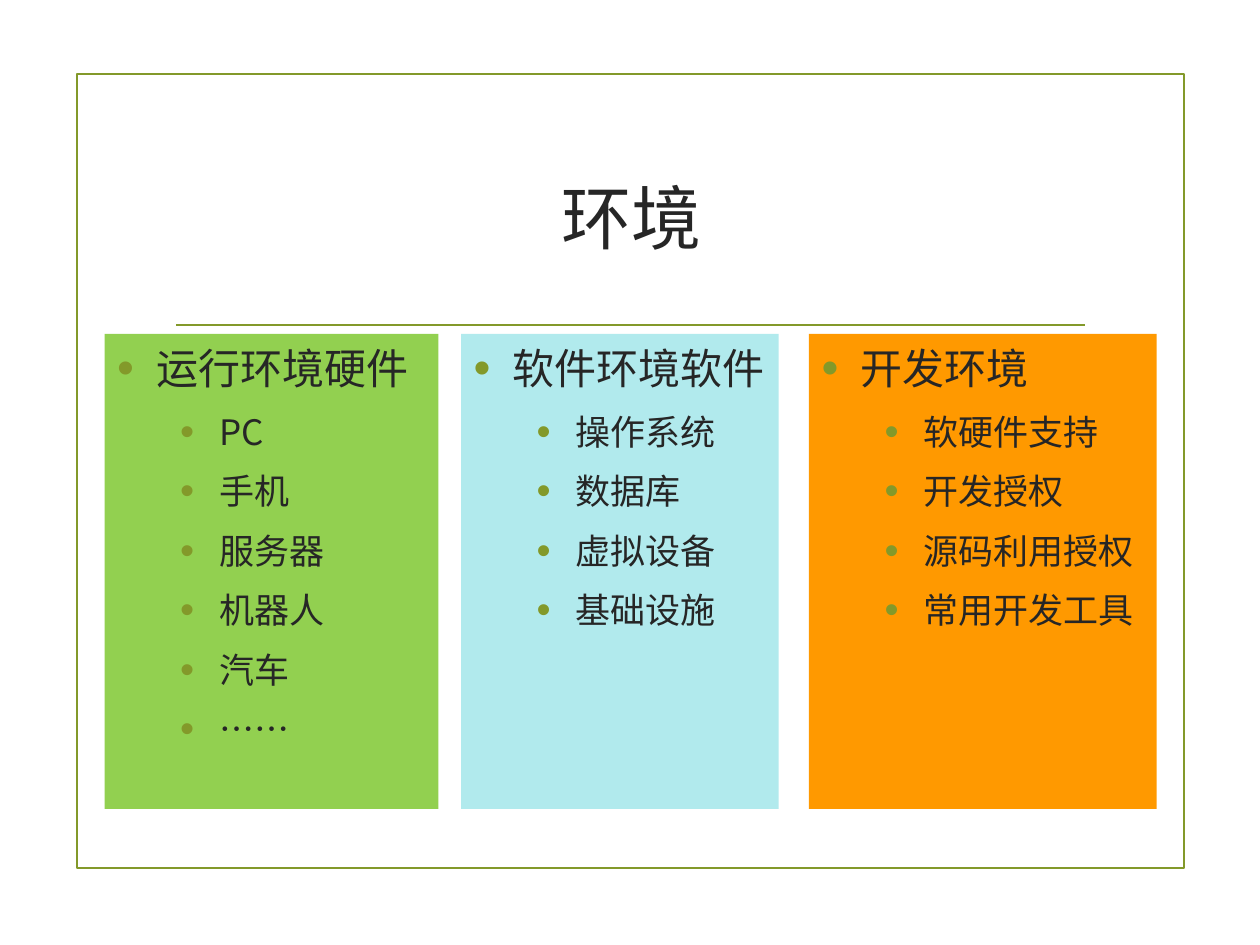
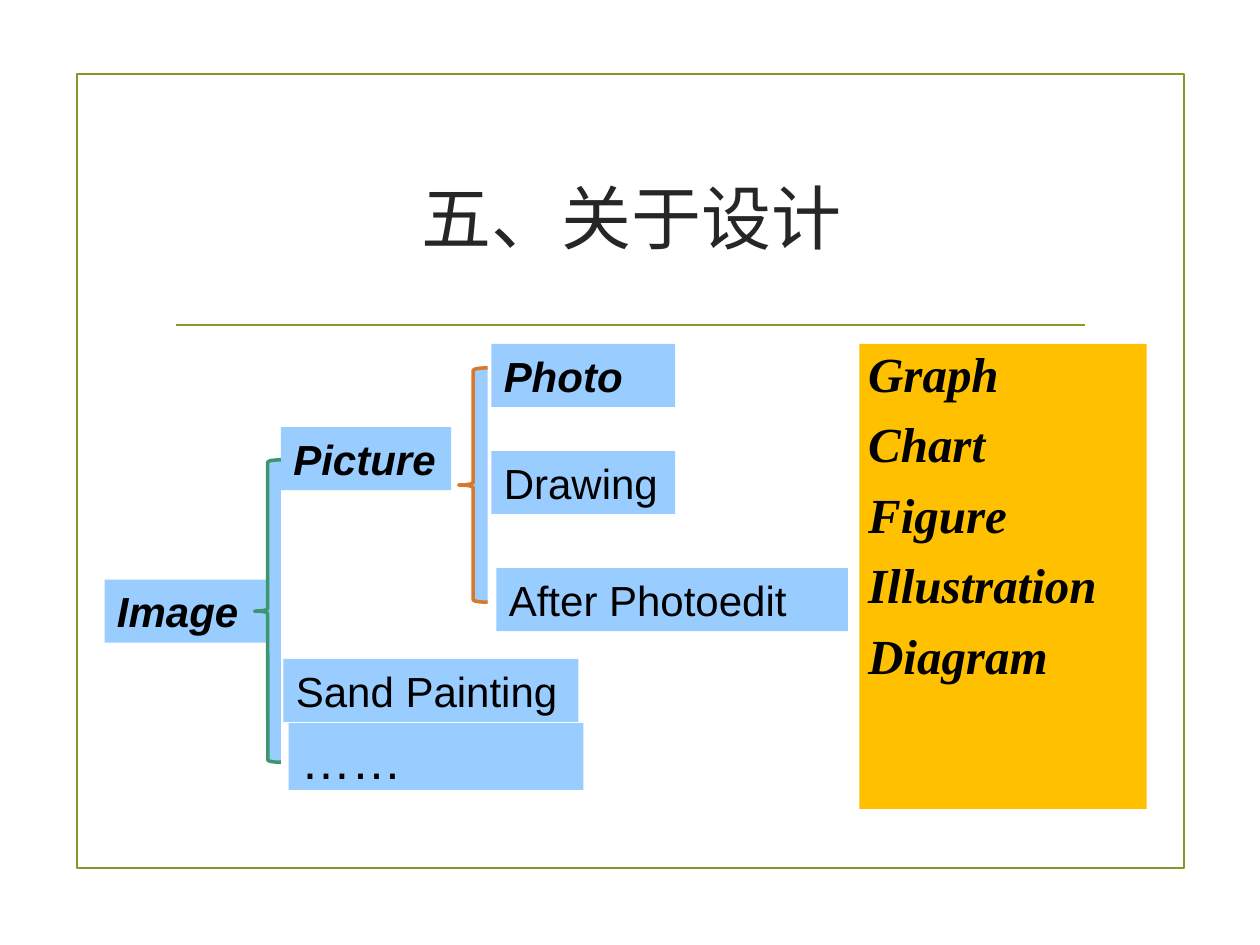
"""Build two slides: the environment lists and the map of image terms."""
from dataclasses import dataclass

from lxml.etree import SubElement
from pptx import Presentation
from pptx.dml.color import RGBColor
from pptx.enum.shapes import MSO_CONNECTOR, MSO_SHAPE
from pptx.enum.text import MSO_ANCHOR, MSO_AUTO_SIZE, PP_ALIGN
from pptx.oxml.ns import qn
from pptx.util import Pt

PX = 9144
OLIVE = RGBColor(0x83, 0x99, 0x2A)
INK = RGBColor(0x26, 0x26, 0x26)
BLACK = RGBColor(0, 0, 0)
LIME = RGBColor(0x92, 0xD0, 0x50)
AQUA = RGBColor(0xB1, 0xEA, 0xED)
ORANGE = RGBColor(0xFF, 0x99, 0x00)
GOLD = RGBColor(0xFF, 0xC0, 0x00)
SKY = RGBColor(0x99, 0xCC, 0xFF)
GREEN = RGBColor(0x3C, 0x97, 0x70)
RUST = RGBColor(0xD9, 0x78, 0x28)
HAN = "Noto Sans CJK SC"
SANS = "Arial"
SERIF = "Times New Roman"


@dataclass(frozen=True)
class Box:
    left: int
    top: int
    width: int
    height: int

    def emu(self) -> tuple:
        return tuple(n * PX for n in (self.left, self.top, self.width, self.height))


@dataclass(frozen=True)
class Face:
    name: str
    size: float
    color: RGBColor
    strong: bool = False
    east: str = ""


@dataclass(frozen=True)
class Level:
    face: Face
    line: float
    before: float
    after: float
    margin: int = 0
    hang: int = 0


@dataclass(frozen=True)
class Column:
    box: Box
    fill: RGBColor
    head: str
    items: tuple


@dataclass(frozen=True)
class Term:
    box: Box
    text: str
    strong: bool = False
    size: float = 24


@dataclass(frozen=True)
class Brace:
    box: Box
    color: RGBColor


HEAD = Level(Face(HAN, 24, INK, east=HAN), 30, 0, 6, 31, 31)
ITEM = Level(Face(HAN, 20, INK, east=HAN), 24, 4, 6, 81, 31)
WORD = Level(Face(SERIF, 28, BLACK, True), 30.3, 10, 0)

COLUMNS = (
    Column(Box(83, 265, 265, 377), LIME, "运行环境硬件",
           ("PC", "手机", "服务器", "机器人", "汽车", "……")),
    Column(Box(366, 265, 252, 377), AQUA, "软件环境软件",
           ("操作系统", "数据库", "虚拟设备", "基础设施")),
    Column(Box(642, 265, 276, 377), ORANGE, "开发环境",
           ("软硬件支持", "开发授权", "源码利用授权", "常用开发工具")),
)
WORDS = ("Graph", "Chart", "Figure", "Illustration", "Diagram")
TERMS = (
    Term(Box(83, 460, 132, 50), "Image", True),
    Term(Box(223, 339, 135, 50), "Picture", True),
    Term(Box(225, 523, 234, 50), "Sand Painting"),
    Term(Box(229, 574, 234, 53), "……", size=28.8),
    Term(Box(390, 273, 146, 50), "Photo", True),
    Term(Box(390, 358, 146, 50), "Drawing"),
    Term(Box(394, 451, 279, 50), "After Photoedit"),
)
BRACES = (
    Brace(Box(202, 365, 21, 240), GREEN),
    Brace(Box(364, 292, 23, 186), RUST),
)


def place(shape, box: Box) -> None:
    shape.left, shape.top, shape.width, shape.height = box.emu()


def paint(shape, color: RGBColor) -> None:
    shape.fill.solid()
    shape.fill.fore_color.rgb = color


def write(para, text: str, face: Face) -> None:
    run = para.add_run()
    run.text = text
    font = run.font
    font.name, font.size = face.name, Pt(face.size)
    font.bold = font.italic = face.strong
    font.color.rgb = face.color
    if face.east:
        latin = font._element.find(qn("a:latin"))
        east = SubElement(font._element, qn("a:ea"), typeface=face.east)
        latin.addnext(east)


def mark(para, level: Level) -> None:
    props = para._p.get_or_add_pPr()
    props.set("marL", str(level.margin * PX))
    props.set("indent", str(-level.hang * PX))
    if not level.hang:
        SubElement(props, qn("a:buNone"))
        return
    tint = SubElement(props, qn("a:buClr"))
    SubElement(tint, qn("a:srgbClr"), val=str(OLIVE))
    SubElement(props, qn("a:buSzPct"), val="115000")
    SubElement(props, qn("a:buFont"), typeface=SANS)
    SubElement(props, qn("a:buChar"), char="•")


def fill_list(shape, box: Box, color: RGBColor, rows: list) -> None:
    place(shape, box)
    paint(shape, color)
    frame = shape.text_frame
    frame.auto_size = MSO_AUTO_SIZE.NONE
    frame.vertical_anchor = MSO_ANCHOR.TOP
    for i, (text, level) in enumerate(rows):
        para = frame.add_paragraph() if i else frame.paragraphs[0]
        para.level = 1 if level is ITEM else 0
        para.alignment = PP_ALIGN.LEFT
        para.line_spacing = Pt(level.line)
        para.space_before = Pt(level.before if i else 0)
        para.space_after = Pt(level.after)
        mark(para, level)
        write(para, text, level.face)


def add_page(deck, layout: int, title: str, font: str):
    page = deck.slides.add_slide(deck.slide_layouts[layout])
    edge = page.shapes.add_shape(MSO_SHAPE.RECTANGLE, *Box(61, 59, 879, 630).emu())
    edge.shadow.inherit = False
    edge.fill.background()
    rule = page.shapes.add_connector(
        MSO_CONNECTOR.STRAIGHT, 140 * PX, 258 * PX, 861 * PX, 258 * PX)
    for shape in (edge, rule):
        shape.line.color.rgb = OLIVE
        shape.line.width = Pt(1.25)
    SubElement(rule._element.spPr, qn("a:effectLst"))
    head = page.shapes.title
    place(head, Box(129, 100, 744, 143))
    frame = head.text_frame
    frame.auto_size = MSO_AUTO_SIZE.NONE
    frame.vertical_anchor = MSO_ANCHOR.MIDDLE
    para = frame.paragraphs[0]
    para.alignment = PP_ALIGN.CENTER
    write(para, title, Face(font, 40, INK, east=HAN))
    return page


def add_term(page, term: Term) -> None:
    shape = page.shapes.add_textbox(*term.box.emu())
    paint(shape, SKY)
    frame = shape.text_frame
    frame.word_wrap = True
    write(frame.paragraphs[0], term.text, Face(SANS, term.size, BLACK, term.strong))


def add_brace(page, brace: Brace) -> None:
    shape = page.shapes.add_shape(MSO_SHAPE.LEFT_BRACE, *brace.box.emu())
    shape.shadow.inherit = False
    paint(shape, SKY)
    shape.line.color.rgb = brace.color
    shape.line.width = Pt(2)


def add_lists(deck) -> None:
    page = add_page(deck, 4, "环境", SERIF)
    slots = list(page.placeholders)[1:]
    for slot, col in zip(slots, COLUMNS):
        rows = [(col.head, HEAD)] + [(text, ITEM) for text in col.items]
        fill_list(slot, col.box, col.fill, rows)
    for slot in slots[len(COLUMNS):]:
        slot._element.getparent().remove(slot._element)


def add_map(deck) -> None:
    page = add_page(deck, 1, "五、关于设计", HAN)
    body = page.placeholders[1]
    fill_list(body, Box(682, 273, 228, 369), GOLD, [(text, WORD) for text in WORDS])
    frame = body.text_frame
    frame.margin_left = frame.margin_right = 7 * PX
    frame.margin_top = frame.margin_bottom = 4 * PX
    for term in TERMS:
        add_term(page, term)
    for brace in BRACES:
        add_brace(page, brace)


def main() -> None:
    deck = Presentation()
    deck.slide_width, deck.slide_height = 1000 * PX, 750 * PX
    add_lists(deck)
    add_map(deck)
    deck.save("out.pptx")


if __name__ == "__main__":
    main()
